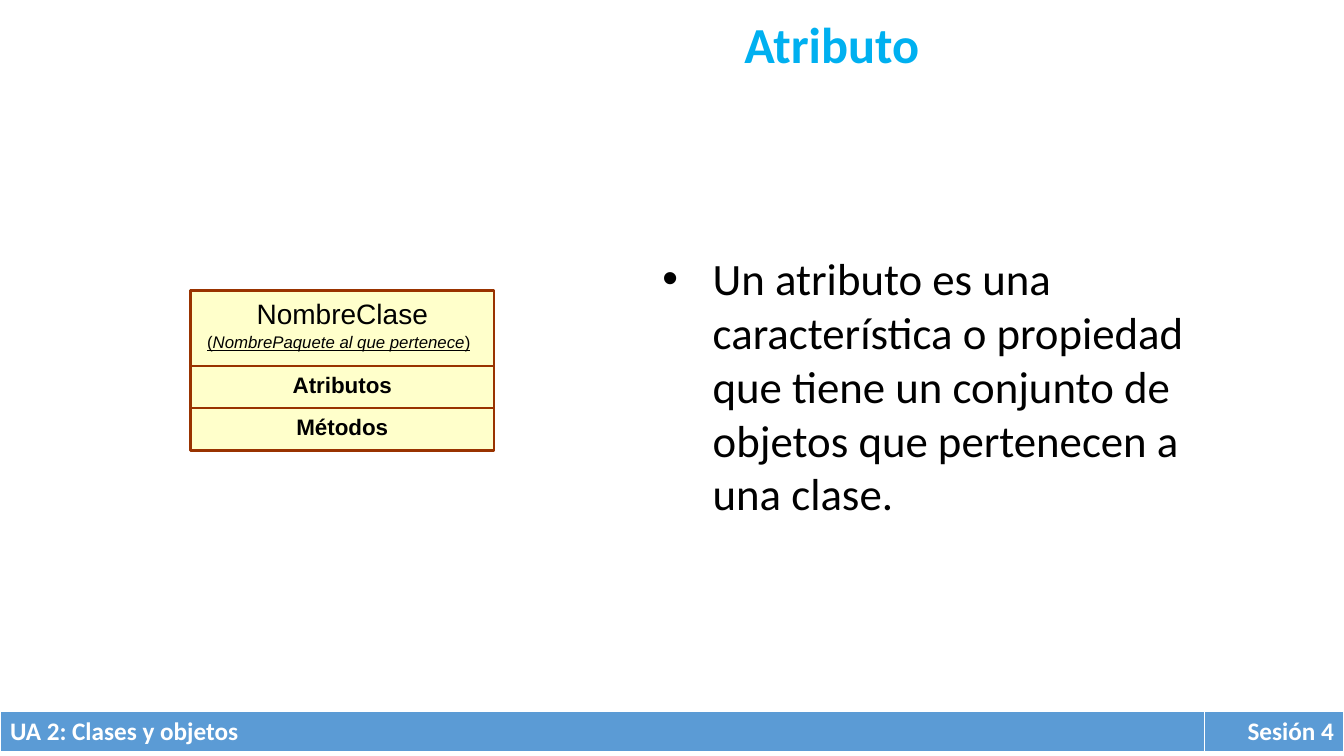
from lxml import etree
from pptx import Presentation
from pptx.dml.color import RGBColor
from pptx.enum.shapes import MSO_SHAPE
from pptx.enum.text import MSO_ANCHOR, MSO_AUTO_SIZE, PP_ALIGN
from pptx.oxml.ns import qn
from pptx.util import Pt

PX = 9144
RECT = MSO_SHAPE.RECTANGLE
TOP, MIDDLE = MSO_ANCHOR.TOP, MSO_ANCHOR.MIDDLE
GROW = MSO_AUTO_SIZE.SHAPE_TO_FIT_TEXT
LEFT, CENTER, RIGHT = PP_ALIGN.LEFT, PP_ALIGN.CENTER, PP_ALIGN.RIGHT


def px(*sizes):
    return [size * PX for size in sizes]


def color(code):
    return RGBColor.from_string(code)


def apply(target, values):
    for name, value in values.items():
        setattr(target, name, value)


def write(par, runs, hue, align=LEFT, **base):
    par.alignment = align
    for text, style in runs:
        run = par.add_run()
        run.text = text
        apply(run.font, {**base, **style})
        run.font.color.rgb = color(hue)


def add_title(slide, text, box):
    title = slide.shapes.title
    title.left, title.top, title.width, title.height = px(*box)
    frame = title.text_frame
    apply(frame, dict(margin_left=20 * PX, margin_right=20 * PX, margin_top=5 * PX,
                      margin_bottom=5 * PX, vertical_anchor=TOP,
                      word_wrap=True, auto_size=GROW))
    write(frame.paragraphs[0], [(text, {})], "00B0F0", CENTER,
          name="Calibri", size=Pt(36), bold=True)


def add_bullet(slide, text, box):
    frame = slide.shapes.add_textbox(*px(*box)).text_frame
    apply(frame, dict(word_wrap=True, auto_size=GROW))
    par = frame.paragraphs[0]
    write(par, [(text, {})], "000000", name="Calibri", size=Pt(32))
    props = par._p.get_or_add_pPr()
    props.set("marL", str(50 * PX))
    props.set("indent", str(-50 * PX))
    etree.SubElement(props, qn("a:buFont"), typeface="Arial")
    etree.SubElement(props, qn("a:buChar"), char="•")


def add_box(group, lines, box):
    shape = group.shapes.add_shape(RECT, *px(*box))
    shape.shadow.inherit = False
    shape.fill.solid()
    shape.fill.fore_color.rgb = color("FFFF99")
    tint = shape.element.spPr.find(qn("a:solidFill")).find(qn("a:srgbClr"))
    etree.SubElement(tint, qn("a:alpha"), val="50000")
    shape.line.color.rgb = color("993300")
    shape.line.width = Pt(1.75)
    frame = shape.text_frame
    apply(frame, dict(word_wrap=False, vertical_anchor=MIDDLE))
    for i, runs in enumerate(lines):
        par = frame.add_paragraph() if i else frame.paragraphs[0]
        par.line_spacing = 0.8
        write(par, runs, "000000", CENTER, name="Arial")


def add_class(slide):
    group = slide.shapes.add_group_shape()
    small = dict(size=Pt(12), underline=True)
    bold = dict(size=Pt(16), bold=True)
    name = [[("NombreClase", dict(size=Pt(20)))],
            [("(", small),
             ("NombrePaquete al que pertenece", {**small, "italic": True}),
             (")", small),
             (" ", dict(size=Pt(18), bold=True))]]
    parts = [(name, 75), ([[("Atributos", bold)]], 42), ([[("Métodos", bold)]], 42)]
    top = 288
    for lines, height in parts:
        add_box(group, lines, (189, top, 301, height))
        top += height


def add_edges(cell):
    props = cell._tc.get_or_add_tcPr()
    for i, (side, width) in enumerate([("L", 1), ("R", 1), ("T", 1), ("B", 3)]):
        edge = etree.Element(qn("a:ln" + side), w=str(Pt(width)))
        fill = etree.SubElement(edge, qn("a:solidFill"))
        etree.SubElement(fill, qn("a:srgbClr"), val="FFFFFF")
        props.insert(i, edge)


def add_footer(slide, items, box):
    table = slide.shapes.add_table(1, len(items), *px(*box)).table
    for i, (text, width, align) in enumerate(items):
        table.columns[i].width = width * PX
        cell = table.cell(0, i)
        cell.fill.solid()
        cell.fill.fore_color.rgb = color("5B9BD5")
        add_edges(cell)
        write(cell.text_frame.paragraphs[0], [(text, {})], "FFFFFF", align,
              name="Calibri", size=Pt(18), bold=True)


def main():
    deck = Presentation()
    deck.slide_width, deck.slide_height = px(1333, 750)
    slide = deck.slides.add_slide(deck.slide_layouts[5])
    add_title(slide, "Atributo", (317, 8, 1016, 71))
    add_footer(slide, [("UA 2: Clases y objetos", 1195, LEFT),
                       ("Sesión 4", 138, RIGHT)], (0, 706, 1333, 41))
    add_class(slide)
    add_bullet(slide, "Un atributo es una característica o propiedad que tiene un "
               "conjunto de objetos que pertenecen a una clase.", (647, 244, 565, 279))
    deck.save("out.pptx")


if __name__ == "__main__":
    main()
